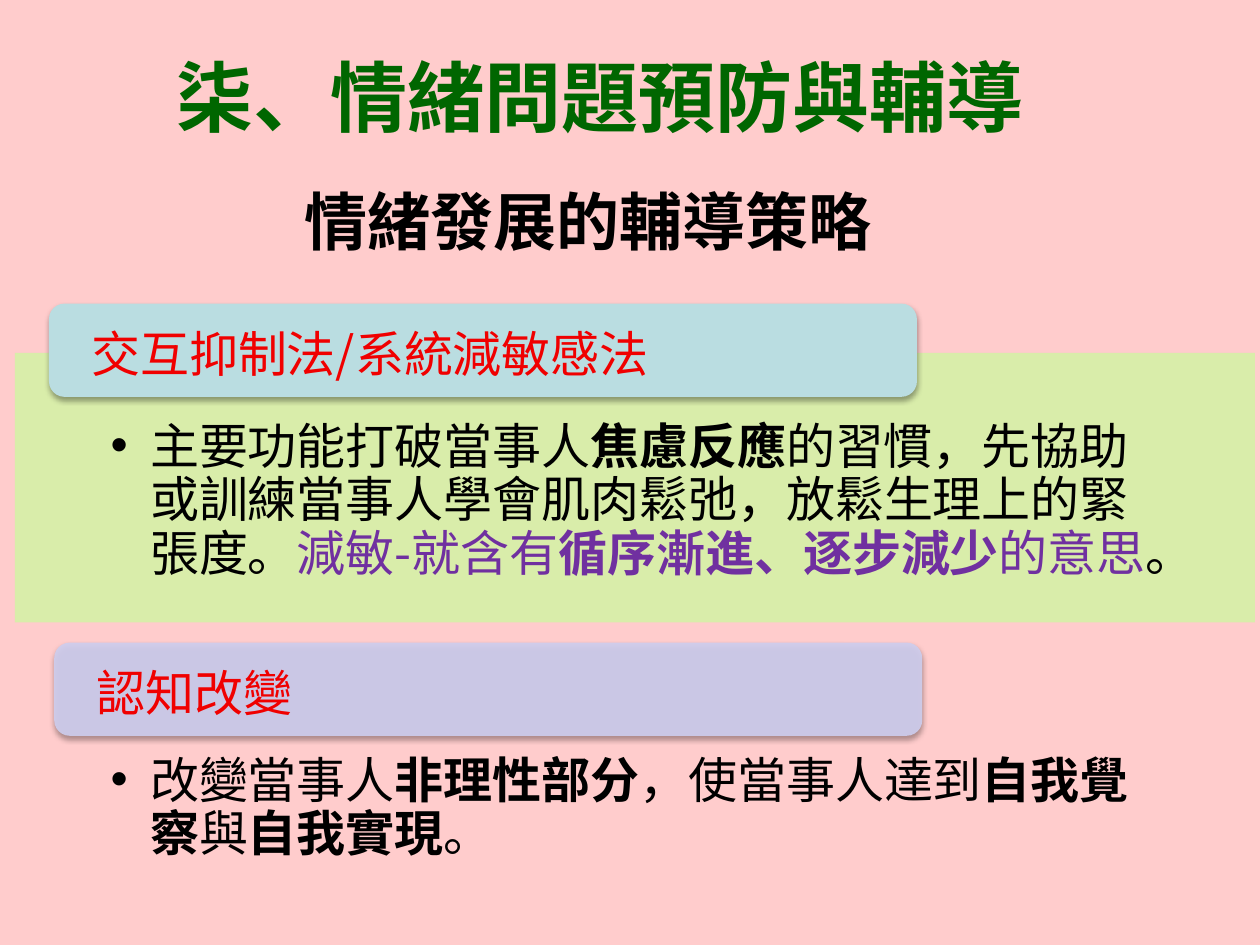
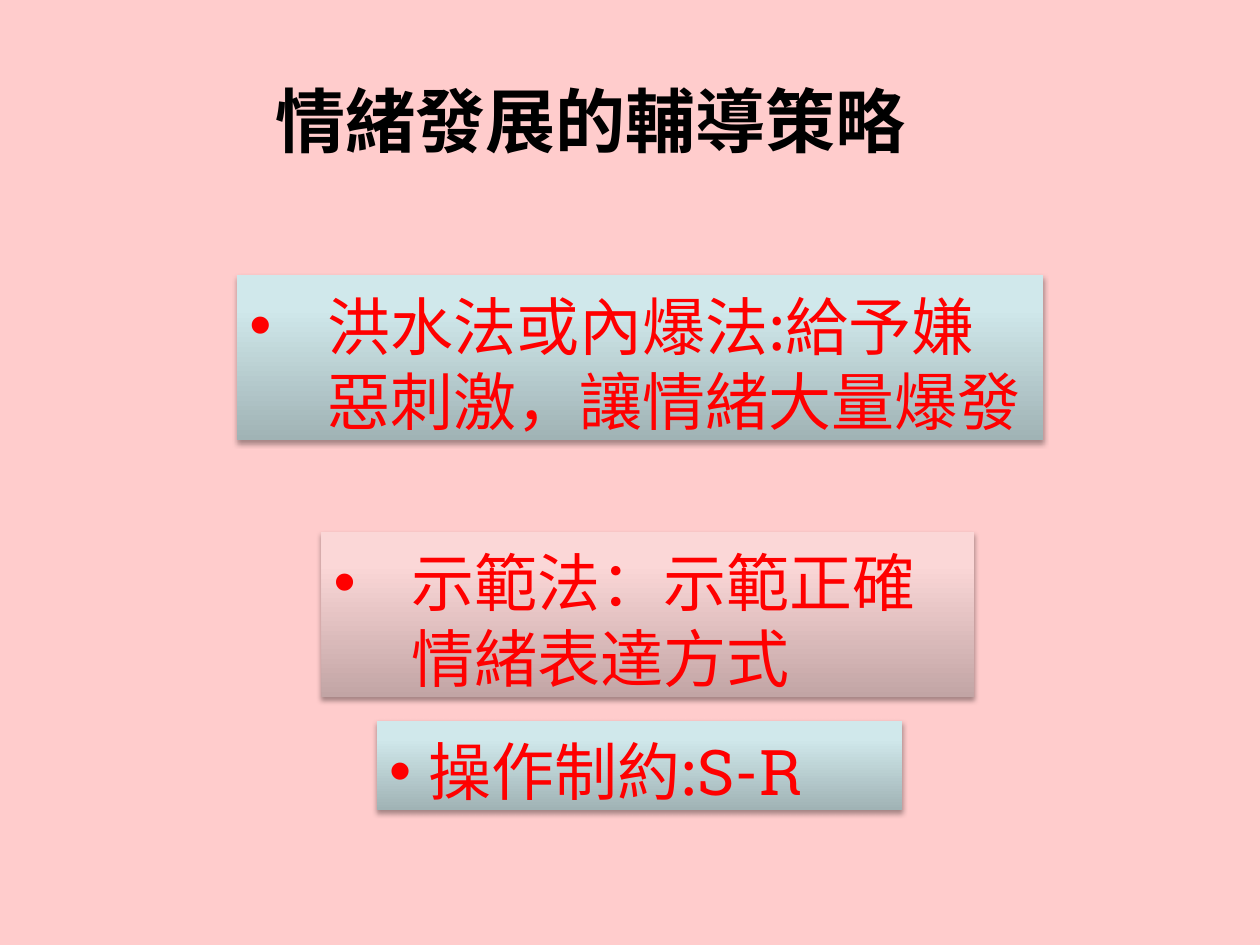
from dataclasses import dataclass

from lxml import etree
from pptx import Presentation
from pptx.dml.color import RGBColor
from pptx.enum.shapes import MSO_SHAPE
from pptx.enum.text import MSO_ANCHOR, MSO_AUTO_SIZE, PP_ALIGN
from pptx.oxml.ns import qn
from pptx.util import Pt

RECT, ROUNDED = MSO_SHAPE.RECTANGLE, MSO_SHAPE.ROUNDED_RECTANGLE
TOP, MIDDLE = MSO_ANCHOR.TOP, MSO_ANCHOR.MIDDLE
LEFT, FIXED_SIZE = PP_ALIGN.LEFT, MSO_AUTO_SIZE.NONE


@dataclass(frozen=True)
class Theme:
    background: str = "FFCCCC"
    ink: str = "000000"
    chapter: str = "006600"
    heading: str = "F00000"
    method: str = "FF0000"
    accent: str = "7030A0"
    font: str = "Noto Sans CJK JP"
    chapter_font: str = "Noto Sans CJK SC"
    slab_font: str = "Roboto Slab"
    chapter_size: int = 44
    title_size: int = 36
    large_title_size: int = 40
    body_size: int = 28
    method_size: int = 36
    leading: float = 1.2
    body_leading: float = 1.09


THEME = Theme()
TEAL = ((0, "A0B3B5"), (80, "D0E8EB"), (100, "D1EAEC"))
ROSE = ((0, "C2A5A5"), (80, "FBD7D7"), (100, "FDD7D7"))
BOLD = {"bold": True}
PURPLE = {"color": THEME.accent}

CHAPTER = "柒、情緒問題預防與輔導"
TITLE = "情緒發展的輔導策略"

STRATEGIES = [
    {
        "heading": "交互抑制法/系統減敏感法",
        "heading_at": (28, 173.5), "heading_fill": ("BADDE1", 100),
        "panel_top": 201.6, "panel_height": 154, "panel_fill": ("D5F1A7", 90),
        "details": [
            ("主要功能打破當事人", {}),
            ("焦慮反應", BOLD),
            ("的習慣，先協助或訓練當事人學會肌肉鬆弛，放鬆生理上的緊張度。", {}),
            ("減敏-就含有", PURPLE),
            ("循序漸進、逐步減少", {**BOLD, **PURPLE}),
            ("的意思", PURPLE),
            ("。", {}),
        ],
    },
    {
        "heading": "認知改變",
        "heading_at": (31, 367.2), "heading_fill": ("CECEEF", 90),
        "panel_top": 392.4, "panel_height": 119.5, "panel_fill": ("FFCCCC", 90),
        "details": [
            ("改變當事人", {}),
            ("非理性部分", BOLD),
            ("，使當事人達到", {}),
            ("自我覺察", BOLD),
            ("與", {}),
            ("自我實現", BOLD),
            ("。", {}),
        ],
    },
]

METHODS = [
    ((183.6, 303.8, 373, 94.3), ROSE, 44.6, [("示範法：示範正確情緒表達方式", {})]),
    ((135.4, 157, 460.8, 94.3), TEAL, 44.6, [("洪水法或內爆法:給予嫌惡刺激，讓情緒大量爆發", {})]),
    ((215.3, 411.8, 300.2, 51.1), TEAL, 22.3,
     [("操作制約:", {}), ("S-R", {"font": THEME.slab_font})]),
]


def add_child(parent, tag, **attributes):
    child = etree.SubElement(parent, qn(tag))
    for key, value in attributes.items():
        child.set(key, str(value))
    return child


def add_color(parent, color, opacity=100):
    node = add_child(parent, "a:srgbClr", val=color)
    if opacity < 100:
        add_child(node, "a:alpha", val=opacity * 1000)


def write(shape, runs, size, color=THEME.ink, font=THEME.font, bold=False,
          insets=(7.2, 7, 7.2, 0), anchor=TOP, leading=THEME.leading, indent=0):
    frame = shape.text_frame
    frame.word_wrap, frame.auto_size = True, FIXED_SIZE
    frame.vertical_anchor = anchor
    (frame.margin_left, frame.margin_top,
     frame.margin_right, frame.margin_bottom) = map(Pt, insets)
    paragraph = frame.paragraphs[0]
    paragraph.alignment = LEFT
    paragraph.line_spacing = Pt(round(size * leading, 1))
    if indent:
        properties = paragraph._p.get_or_add_pPr()
        properties.set("marL", str(Pt(indent)))
        properties.set("indent", str(-Pt(indent)))
        add_child(properties, "a:buFont", typeface="Arial")
        add_child(properties, "a:buChar", char="•")
    for text, style in runs:
        run = paragraph.add_run()
        run.text = text
        run.font.size = Pt(size)
        run.font.bold = style.get("bold", bold)
        run.font.color.rgb = RGBColor.from_string(style.get("color", color))
        run.font.name = style.get("font", font)
        add_child(run._r.rPr, "a:ea", typeface=run.font.name)


def add_block(slide, kind, box, solid=None, gradient=None, shadow=False):
    block = slide.shapes.add_shape(kind, *map(Pt, box))
    block.shadow.inherit = False
    block.line.fill.background()
    properties = block._element.spPr
    if solid:
        color, opacity = solid
        block.fill.solid()
        block.fill.fore_color.rgb = RGBColor.from_string(color)
        if opacity < 100:
            add_child(properties.find(qn("a:solidFill"))[0], "a:alpha", val=opacity * 1000)
    if gradient:
        fill = etree.Element(qn("a:gradFill"), rotWithShape="1")
        stops = add_child(fill, "a:gsLst")
        for position, color in gradient:
            add_color(add_child(stops, "a:gs", pos=position * 1000), color)
        add_child(fill, "a:lin", ang=270 * 60000, scaled=0)
        properties.find(qn("a:prstGeom")).addnext(fill)
    if shadow:
        effects = properties.find(qn("a:effectLst"))
        outer = add_child(effects, "a:outerShdw", blurRad=Pt(3.1), dist=Pt(1.8),
                          dir=90 * 60000, rotWithShape=0)
        add_color(outer, THEME.ink, 35)
    return block


def add_titled_slide(deck, box, size, **text_options):
    slide = deck.slides.add_slide(deck.slide_layouts[5])
    title = slide.shapes.title
    title.left, title.top, title.width, title.height = map(Pt, box)
    write(title, [(TITLE, {})], size, bold=True, **text_options)
    return slide


def build_strategies(deck):
    slide = add_titled_slide(deck, (167, 100, 385.2, 90), THEME.title_size,
                             insets=(7.2, 3.6, 7.2, 41.6), anchor=MIDDLE)
    chapter = slide.shapes.add_textbox(Pt(93.6), Pt(21), Pt(561.6), Pt(60.5))
    write(chapter, [(CHAPTER, {})], THEME.chapter_size, THEME.chapter,
          THEME.chapter_font, bold=True)
    for strategy in STRATEGIES:
        panel = add_block(slide, RECT, (8.6, strategy["panel_top"], 708.5, strategy["panel_height"]),
                          solid=strategy["panel_fill"])
        write(panel, strategy["details"], THEME.body_size, insets=(54.7, 39, 54.7, 15.8),
              leading=THEME.body_leading, indent=22.5)
        heading = add_block(slide, ROUNDED, (*strategy["heading_at"], 496, 53.3),
                            solid=strategy["heading_fill"], shadow=True)
        write(heading, [(strategy["heading"], {})], THEME.body_size, THEME.heading,
              insets=(21.6, 6, 21.6, 0), anchor=MIDDLE, leading=THEME.body_leading)


def build_methods(deck):
    slide = add_titled_slide(deck, (150.5, 37.4, 378, 55.4), THEME.large_title_size)
    for box, gradient, indent, runs in METHODS:
        method = add_block(slide, RECT, box, gradient=gradient, shadow=True)
        write(method, runs, THEME.method_size, THEME.method, indent=indent)


def main():
    deck = Presentation()
    deck.slide_width, deck.slide_height = Pt(720), Pt(540)
    backdrop = deck.slide_master.background.fill
    backdrop.solid()
    backdrop.fore_color.rgb = RGBColor.from_string(THEME.background)
    build_strategies(deck)
    build_methods(deck)
    deck.save("out.pptx")


if __name__ == "__main__":
    main()
